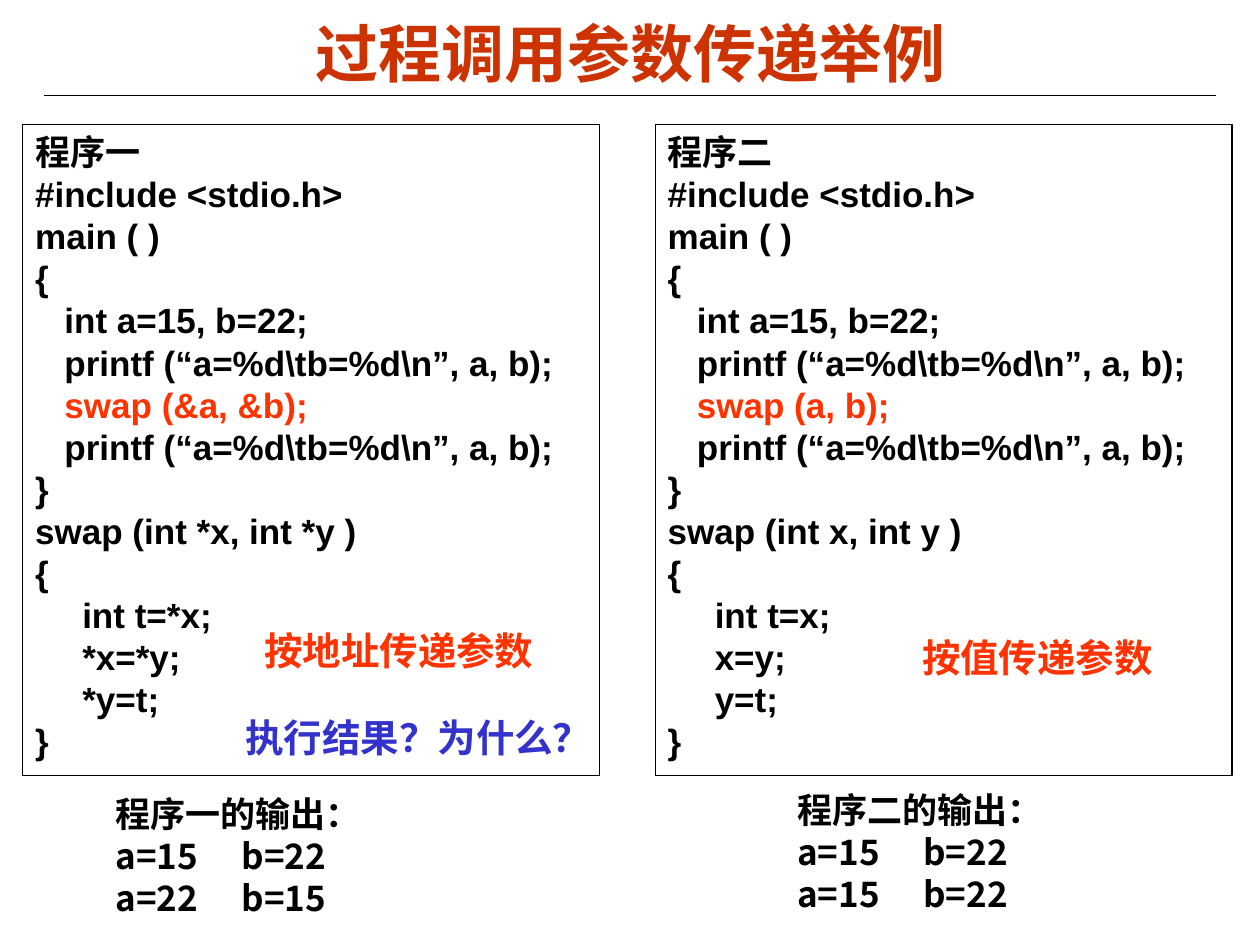
from pptx import Presentation
from pptx.dml.color import RGBColor
from pptx.enum.shapes import MSO_CONNECTOR, MSO_SHAPE
from pptx.enum.text import MSO_ANCHOR, PP_ALIGN
from pptx.oxml.ns import qn
from pptx.util import Cm, Pt

LEFT, CENTER, JUSTIFY = PP_ALIGN.LEFT, PP_ALIGN.CENTER, PP_ALIGN.JUSTIFY
TOP, MIDDLE = MSO_ANCHOR.TOP, MSO_ANCHOR.MIDDLE
RECT, STRAIGHT = MSO_SHAPE.RECTANGLE, MSO_CONNECTOR.STRAIGHT
LATIN, CJK = "Arial", "Noto Sans CJK SC"
COLORS = {"title": "CC3300", "text": "000000", "accent": "FF3300",
          "question": "3333CC", "paper": "FFFFFF"}

# Content
TITLE = "过程调用参数传递举例"
PRINT = "printf (“a=%d\\tb=%d\\n”, a, b);"
PROGRAMS = [
    {"name": "程序一", "call": "swap (&a, &b);", "head": "swap (int *x, int *y )",
     "body": ["int t=*x;", "*x=*y;", "*y=t;"],
     "output": ["程序一的输出：", "a=15\tb=22", "a=22\tb=15"],
     "output_at": (2.08, 15.98, 6.5, 2.41), "fill": None,
     "note": "按地址传递参数", "note_at": (5.08, 12.52, 5.94, 1.19)},
    {"name": "程序二", "call": "swap (a, b);", "head": "swap (int x, int y )",
     "body": ["int t=x;", "x=y;", "y=t;"],
     "output": ["程序二的输出：", "a=15\tb=22", "a=15\tb=22"],
     "output_at": (15.82, 15.9, 6.15, 2.49), "fill": "paper",
     "note": "按值传递参数", "note_at": (18.34, 12.65, 5.16, 1.19)},
]
QUESTION = "执行结果？为什么？"
QUESTION_AT = (4.7, 14.27, 7.49, 1.19)

# Layout in cm
CODE_LEFT, CODE_STEP, CODE_TOP = 0.46, 12.75, 2.51
CODE_W, CODE_H = 11.63, 13.13
MAIN_INDENT, BODY_INDENT = 0.59, 0.95


def code_lines(program):
    """Return (text, indent, color) for each line of a program."""
    main = [("int a=15, b=22;", "text"), (PRINT, "text"),
            (program["call"], "accent"), (PRINT, "text")]
    return ([(t, 0, "text") for t in (program["name"], "#include <stdio.h>", "main ( )", "{")]
            + [(t, MAIN_INDENT, c) for t, c in main]
            + [(t, 0, "text") for t in ("}", program["head"], "{")]
            + [(t, BODY_INDENT, "text") for t in program["body"]]
            + [("}", 0, "text")])


def write(tf, lines, size, font, align, spacing=True):
    for i, (text, indent, color) in enumerate(lines):
        p = tf.add_paragraph() if i else tf.paragraphs[0]
        p.alignment = align
        if spacing:
            p.line_spacing = Pt(size * 1.2)
        if indent:
            p._p.get_or_add_pPr().set("marL", str(Cm(indent)))
        r = p.add_run()
        r.text = text
        r.font.size, r.font.bold, r.font.name = Pt(size), True, font
        r.font.color.rgb = RGBColor.from_string(COLORS[color])
        ea = r._r.get_or_add_rPr().makeelement(qn("a:ea"), {"typeface": CJK})
        r.font._rPr.append(ea)


def add_box(s, at, fill=None, outlined=False, inset=0.13):
    sp = s.shapes.add_shape(RECT, *map(Cm, at))
    sp.shadow.inherit = False
    if fill:
        sp.fill.solid()
        sp.fill.fore_color.rgb = RGBColor.from_string(COLORS[fill])
    else:
        sp.fill.background()
    if outlined:
        sp.line.color.rgb = RGBColor.from_string(COLORS["text"])
        sp.line.width = Pt(0.75)
    else:
        sp.line.fill.background()
    tf = sp.text_frame
    tf.word_wrap, tf.vertical_anchor = True, TOP
    tf.margin_top = tf.margin_bottom = Cm(inset)
    return tf


def add_label(s, at, text, color, wrap=False):
    tf = s.shapes.add_textbox(*map(Cm, at)).text_frame
    tf.word_wrap = wrap
    write(tf, [(text, 0, color)], 22, CJK, LEFT)


def main():
    prs = Presentation()
    prs.slide_width, prs.slide_height = Cm(25.4), Cm(19.05)
    s = prs.slides.add_slide(prs.slide_layouts[5])

    # Title and rule
    title = s.shapes.title
    title.left, title.top, title.width, title.height = map(Cm, (1.27, 0.28, 22.86, 1.55))
    title.text_frame.vertical_anchor = MIDDLE
    write(title.text_frame, [(TITLE, 0, "title")], 36, LATIN, CENTER, spacing=False)
    rule = s.shapes.add_connector(STRAIGHT, Cm(0.89), Cm(1.93), Cm(24.51), Cm(1.93))
    rule.line.color.rgb = RGBColor.from_string(COLORS["text"])
    rule.line.width = Pt(0.75)
    sp_pr = rule._element.spPr
    sp_pr.append(sp_pr.makeelement(qn("a:effectLst"), {}))

    # Program listings, their outputs and notes
    for i, program in enumerate(PROGRAMS):
        output = add_box(s, program["output_at"], program["fill"], inset=0)
        write(output, [(t, 0, "text") for t in program["output"]], 20, CJK, JUSTIFY)
        code_at = (CODE_LEFT + i * CODE_STEP, CODE_TOP, CODE_W, CODE_H)
        write(add_box(s, code_at, outlined=True), code_lines(program), 20, LATIN, JUSTIFY)
        add_label(s, program["note_at"], program["note"], "accent")
    add_label(s, QUESTION_AT, QUESTION, "question", wrap=True)

    prs.save("out.pptx")


if __name__ == "__main__":
    main()
